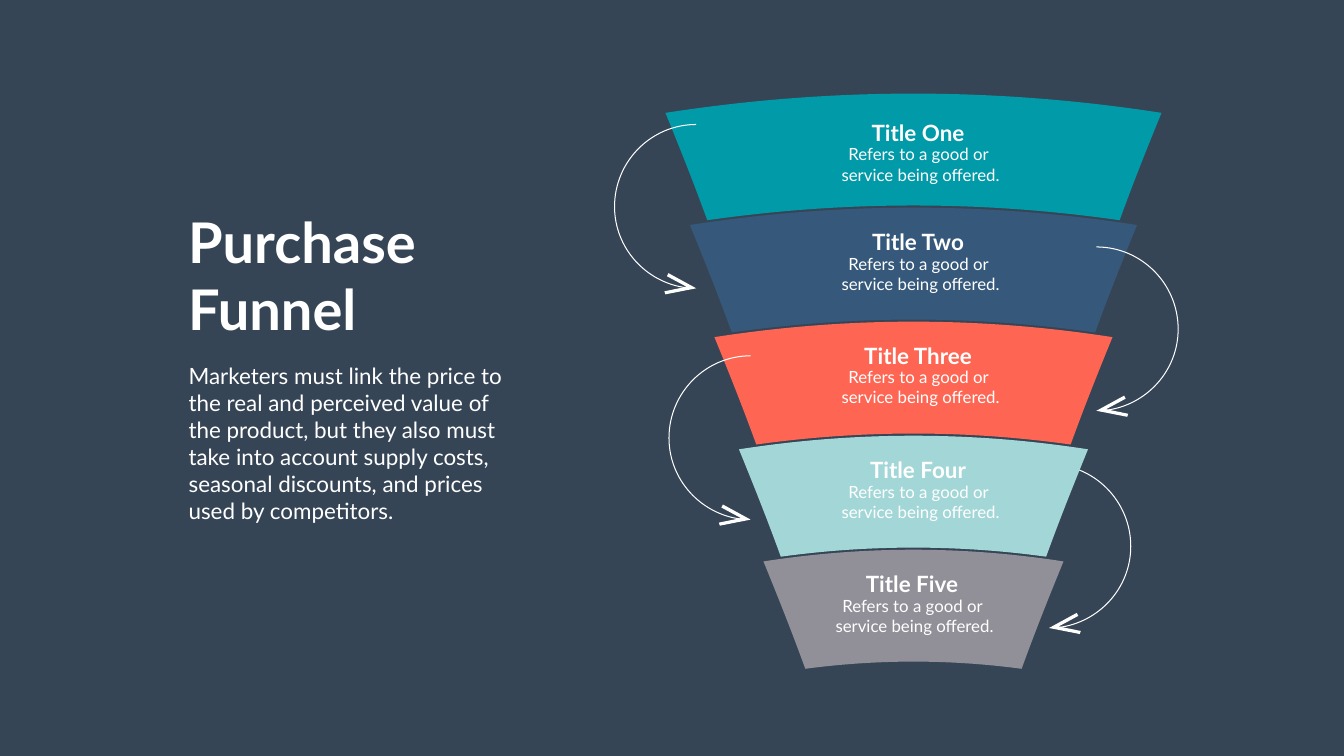
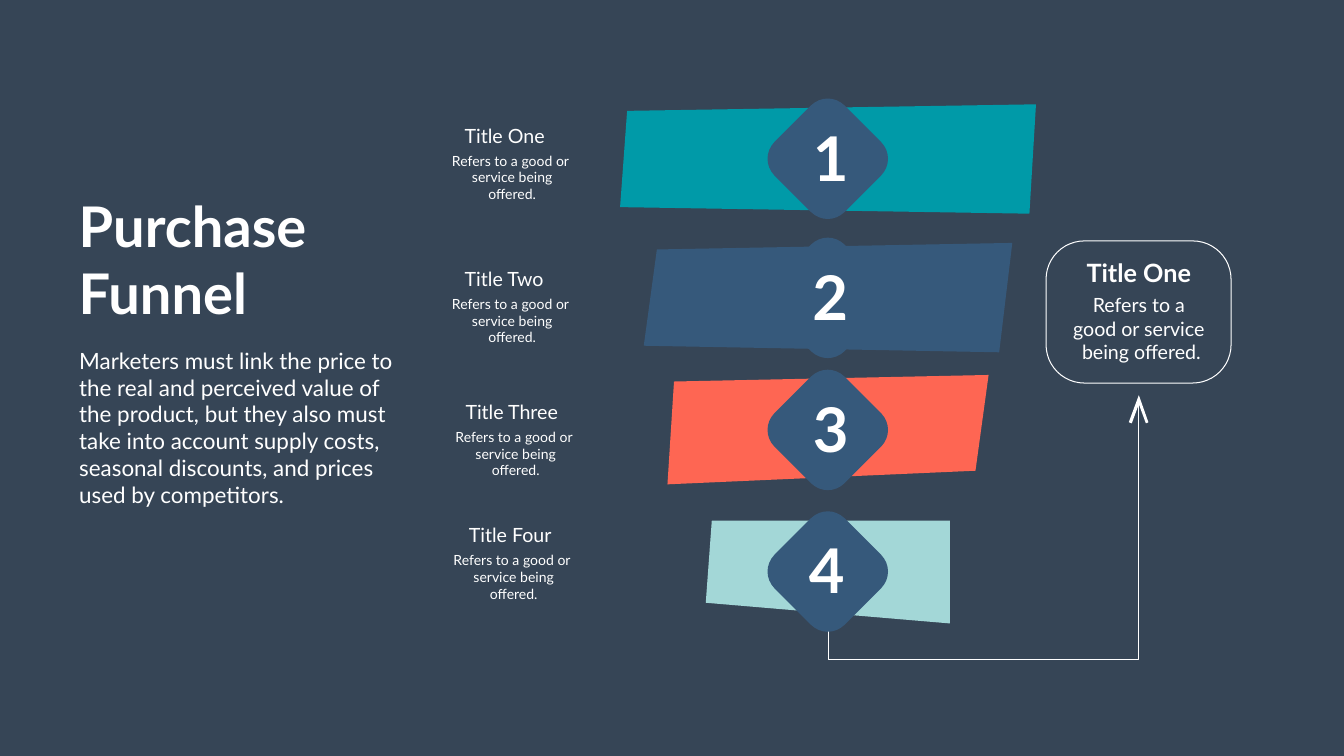
from lxml.etree import SubElement
from pptx import Presentation
from pptx.dml.color import RGBColor
from pptx.enum.shapes import MSO_SHAPE
from pptx.enum.text import MSO_ANCHOR, MSO_AUTO_SIZE, PP_ALIGN
from pptx.oxml.ns import qn
from pptx.util import Inches, Pt

NAVY, WHITE, TEAL, BLUE = "364556", "FFFFFF", "009AA8", "36597B"
CORAL, MINT, GRAY = "FE6653", "A3D7D7", "919098"
LINE_WIDTH = 1.45

TITLE = "Purchase Funnel"
INTRO = (
    "Marketers must link the price to the real and perceived value of the product, "
    "but they also must take into account supply costs, seasonal discounts, "
    "and prices used by competitors."
)
DETAIL = ["Refers to a good or ", "service being offered."]

TITLE_FORMAT = {"name": "Lato", "size": Pt(80), "bold": True}
INTRO_FORMAT = {"name": "Lato", "size": Pt(32), "bold": False}
TIER_HEADING = {"name": "Lato", "size": Pt(32), "bold": True}
TIER_DETAIL = {"name": "Lato", "size": Pt(24), "bold": False}
BAND_HEADING = {"name": "Lato", "size": Pt(28), "bold": False}
BAND_DETAIL = {"name": "Lato", "size": Pt(20), "bold": False}
CALLOUT_HEADING = {"name": "Lato", "size": Pt(36), "bold": True}
CALLOUT_DETAIL = {"name": "Lato", "size": Pt(28), "bold": False}
NUMBER_FORMAT = {"name": "Lato", "size": Pt(88), "bold": True}

SIDE_HEAD = [(0, 0), (-0.55, -0.3), (-0.58, -0.24), (-0.19, -0.03), (-0.63, 0.06), (-0.61, 0.12)]
UP_HEAD = [(0, 0), (0.19, 0.54), (0.14, 0.56), (0, 0.18), (-0.14, 0.56), (-0.2, 0.54)]
HALF_TURN = [
    (0.19, 3.24), (0.99, 3.14), (1.62, 2.46), (1.62, 1.63), (1.62, 0.73), (0.89, 0), (0, 0),
]
DIAMOND_CORNER = [(0.33, 1.06), (0.14, 1.24), (-0.14, 1.24), (-0.33, 1.06)]

TIER_COLORS = [TEAL, BLUE, CORAL, MINT, GRAY]
TIER_AXIS = 18.12
TIER_CAPTIONS = [
    ("Title One", 18.21, 2.31, 2.07),
    ("Title Two", 18.21, 4.48, 2.1),
    ("Title Three", 18.21, 6.73, 2.38),
    ("Title Four", 18.21, 9.01, 2.14),
    ("Title Five", 18.09, 11.27, 2.06),
]
ARROWS = [(13.81, 2.47, -1), (21.75, 4.9, 1), (14.89, 7.06, -1), (20.81, 9.21, 1)]

BANDS = [
    (TEAL, [(20.42, 4.24), (12.3, 4.11), (12.44, 2.2), (20.55, 2.07)]),
    (BLUE, [(19.82, 6.99), (12.77, 6.86), (13.03, 4.95), (20.08, 4.82)]),
    (CORAL, [(13.24, 9.61), (19.35, 9.34), (19.61, 7.44), (13.37, 7.57)]),
    (MINT, [(18.84, 12.37), (14, 11.96), (14.12, 10.33), (18.84, 10.33)]),
]
BAND_AXIS = 16.42
NUMBERS = [("1", 15.92, 3.15), ("2", 15.91, 5.91), ("3", 15.92, 8.53), ("4", 15.84, 11.34)]
BAND_CAPTIONS = [
    ("Title One", 10.01, 10.16, 2.4, 1.82),
    ("Title Two", 10, 10.16, 5.24, 1.84),
    ("Title Three", 10.15, 10.23, 7.88, 2.09),
    ("Title Four", 10.12, 10.19, 10.33, 1.88),
]


def color(hex_value):
    return RGBColor.from_string(hex_value)


def write(box, lines, values, align):
    frame = box.text_frame
    frame.vertical_anchor = MSO_ANCHOR.TOP
    for index, line in enumerate(lines):
        para = frame.add_paragraph() if index else frame.paragraphs[0]
        para.alignment = align
        para.space_before = Pt(0)
        span = para.add_run()
        span.text = line
        for name, value in values.items():
            setattr(span.font, name, value)
        span.font.color.rgb = color(WHITE)


def place(box, left, top, width, height):
    box.left, box.top = Inches(left), Inches(top)
    box.width, box.height = Inches(width), Inches(height)


def add_text(page, left, top, width, height, lines, values, align=PP_ALIGN.CENTER, wrap=False):
    box = page.shapes.add_textbox(Inches(left), Inches(top), Inches(width), Inches(height))
    box.text_frame.word_wrap = wrap
    box.text_frame.auto_size = MSO_AUTO_SIZE.SHAPE_TO_FIT_TEXT
    write(box, lines, values, align)


def add_centered(page, center, top, width, height, lines, values):
    add_text(page, center - width / 2, top, width, height, lines, values)


def paint(shape, fill=None, line=None):
    shape.shadow.inherit = False
    if fill:
        shape.fill.solid()
        shape.fill.fore_color.rgb = color(fill)
    else:
        shape.fill.background()
    if line:
        shape.line.color.rgb = color(line)
        shape.line.width = Pt(LINE_WIDTH)
    else:
        shape.line.fill.background()


def bend(shape, curve_starts):
    outline = next(shape._element.iter(qn("a:path")))
    segments = outline.findall(qn("a:lnTo"))
    for start in curve_starts:
        curve = SubElement(outline, qn("a:cubicBezTo"))
        segments[start].addprevious(curve)
        for segment in segments[start:start + 3]:
            curve.append(segment[0])
            outline.remove(segment)


def add_outline(page, points, fill=None, line=None, curve_starts=()):
    corners = [(Inches(x), Inches(y)) for x, y in points]
    builder = page.shapes.build_freeform(*corners[0], scale=1.0)
    builder.add_line_segments(corners[1:], close=fill is not None)
    shape = builder.convert_to_shape()
    bend(shape, curve_starts)
    paint(shape, fill, line)


def add_head(page, x, y, offsets, mirror=1):
    add_outline(page, [(x + mirror * dx, y + dy) for dx, dy in offsets], fill=WHITE)


def add_page(deck, title_left, title_top, intro_top):
    page = deck.slides.add_slide(deck.slide_layouts[1])
    page.background.fill.solid()
    page.background.fill.fore_color.rgb = color(NAVY)
    title, body = page.shapes.title, page.placeholders[1]
    place(title, title_left, title_top, 5.57, 2.79)
    place(body, title_left + 0.01, intro_top, 6.63, 3.33)
    write(title, [TITLE], TITLE_FORMAT, PP_ALIGN.LEFT)
    write(body, [INTRO], INTRO_FORMAT, PP_ALIGN.LEFT)
    for box in (title, body):
        box.text_frame.auto_size = MSO_AUTO_SIZE.SHAPE_TO_FIT_TEXT
        box.text_frame.word_wrap = True
    properties = body.text_frame.paragraphs[0]._p.get_or_add_pPr()
    properties.set("marL", "0")
    properties.set("indent", "0")
    SubElement(properties, qn("a:buNone"))
    return page


def add_tier(page, index):
    top_half = 4.92 - 0.486 * index
    bottom_half = top_half - 0.83
    top = 2.24 + 2.225 * index
    bottom = top + 2.13
    top_bow = top - 0.51 + 0.05 * index
    bottom_bow = bottom - 0.39 + 0.05 * index
    offsets = [
        (-top_half, top), (-top_half / 3, top_bow), (top_half / 3, top_bow), (top_half, top),
        (top_half - 0.29, top + 0.71), (top_half - 0.57, top + 1.41), (bottom_half, bottom),
        (bottom_half / 3, bottom_bow), (-bottom_half / 3, bottom_bow), (-bottom_half, bottom),
        (0.57 - top_half, top + 1.41), (0.29 - top_half, top + 0.71), (-top_half, top),
    ]
    points = [(TIER_AXIS + dx, y) for dx, y in offsets]
    add_outline(page, points, fill=TIER_COLORS[index], curve_starts=range(0, 12, 3))


def add_curved_arrow(page, x, top, side):
    points = [(x + side * dx, top + dy) for dx, dy in HALF_TURN]
    add_outline(page, points, line=WHITE, curve_starts=(0, 3))
    add_head(page, x, top + 3.25, SIDE_HEAD, -side)


def add_diamond(page, middle):
    corner, points = DIAMOND_CORNER, []
    for _ in range(4):
        points += [(BAND_AXIS + dx, middle + dy) for dx, dy in corner]
        corner = [(-dy, dx) for dx, dy in corner]
    add_outline(page, points, fill=BLUE, curve_starts=range(0, 16, 4))


def add_callout(page):
    route = [(16.43, 12.27), (16.43, 13.09), (22.59, 13.09), (22.59, 8.01)]
    add_outline(page, route, line=WHITE)
    add_head(page, 22.59, 7.84, UP_HEAD)
    frame = page.shapes.add_shape(
        MSO_SHAPE.ROUNDED_RECTANGLE, Inches(20.75), Inches(4.78), Inches(3.67), Inches(2.82)
    )
    frame.adjustments[0] = 0.27
    paint(frame, line=WHITE)


def add_callout_text(page):
    lines = ["Refers to a ", "good or service ", "being offered."]
    add_centered(page, 22.64, 5.77, 2.95, 1.51, lines, CALLOUT_DETAIL)
    add_centered(page, 22.59, 5.06, 2.3, 0.71, ["Title One"], CALLOUT_HEADING)


def build_curved_funnel(deck):
    page = add_page(deck, 3.63, 4.06, 7.14)
    for index in (2, 1, 0):
        add_tier(page, index)
    for x, top, side in ARROWS:
        add_curved_arrow(page, x, top, side)
    for index in (3, 4):
        add_tier(page, index)
    for heading, center, top, width in TIER_CAPTIONS:
        add_centered(page, center + 0.05, top + 0.5, 3.39, 0.91, DETAIL, TIER_DETAIL)
        add_centered(page, center, top, width, 0.64, [heading], TIER_HEADING)


def build_numbered_funnel(deck):
    page = add_page(deck, 1.46, 3.75, 6.83)
    add_callout(page)
    for fill, corners in BANDS:
        add_outline(page, corners, fill=fill)
    for label, left, middle in NUMBERS:
        add_diamond(page, middle)
        add_text(page, left, middle - 0.83, 1.01, 1.58, [label], NUMBER_FORMAT, PP_ALIGN.RIGHT, True)
    add_callout_text(page)
    for heading, center, detail_center, top, width in BAND_CAPTIONS:
        add_centered(page, detail_center, top + 0.57, 2.81, 0.77, DETAIL, BAND_DETAIL)
        add_centered(page, center, top, width, 0.57, [heading], BAND_HEADING)


def main():
    deck = Presentation()
    deck.slide_width, deck.slide_height = Inches(26.66), Inches(15)
    build_curved_funnel(deck)
    build_numbered_funnel(deck)
    deck.save("out.pptx")


if __name__ == "__main__":
    main()
